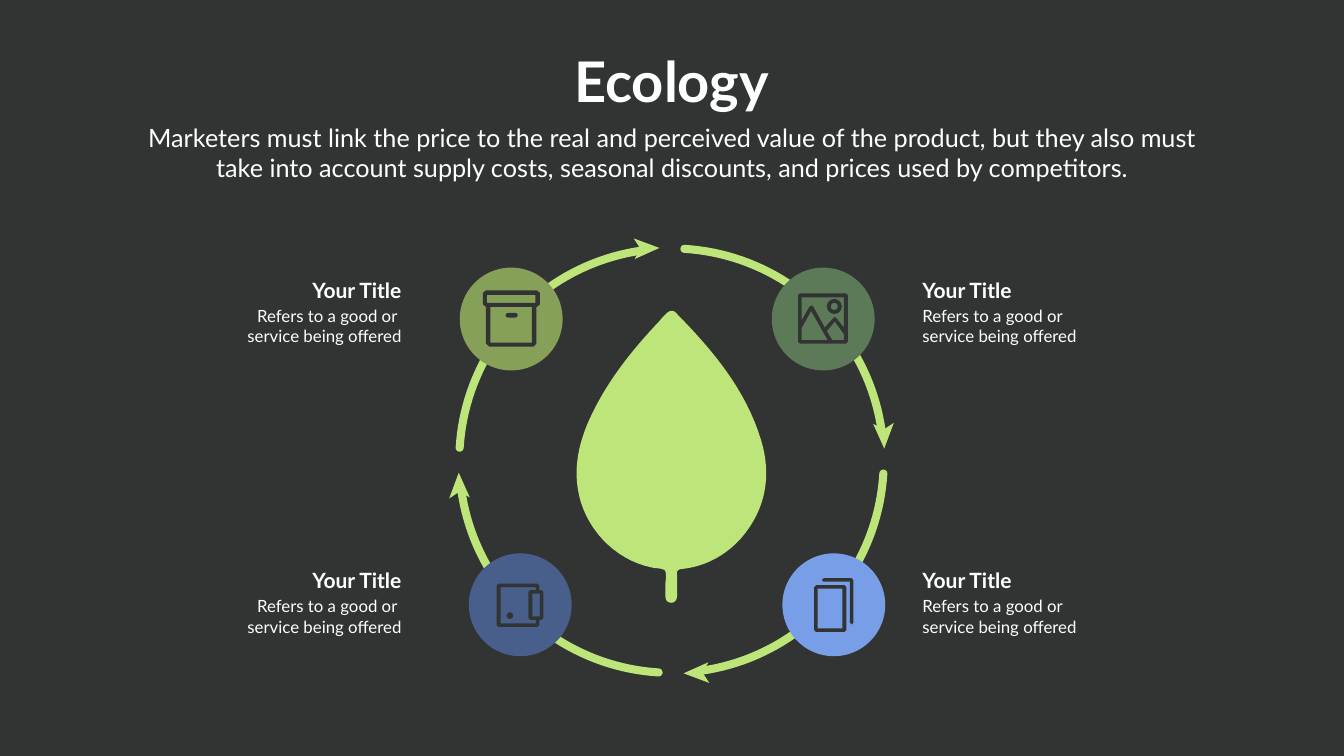
from math import cos, radians, sin

from pptx import Presentation
from pptx.dml.color import RGBColor
from pptx.enum.shapes import MSO_SHAPE
from pptx.enum.text import PP_ALIGN
from pptx.util import Pt

PX = 9144
SLIDE_WIDTH, SLIDE_HEIGHT = 2666, 1500
FONT = "Lato"

OVAL, DONUT, ROUNDED = MSO_SHAPE.OVAL, MSO_SHAPE.DONUT, MSO_SHAPE.ROUNDED_RECTANGLE
LEFT, CENTER, RIGHT = PP_ALIGN.LEFT, PP_ALIGN.CENTER, PP_ALIGN.RIGHT

DARK = RGBColor(0x32, 0x34, 0x34)
WHITE = RGBColor(0xFE, 0xFF, 0xFF)
LIME = RGBColor(0xBD, 0xE5, 0x79)
OLIVE = RGBColor(0x87, 0xA0, 0x59)
FOREST = RGBColor(0x5C, 0x79, 0x58)
NAVY = RGBColor(0x48, 0x5F, 0x8B)
SKY = RGBColor(0x78, 0x9E, 0xE7)

LEAF_START = (371, 259)
LEAF_CURVES = [
    ((340, 157), (274, 79), (201, 5)),
    ((196, 0), (190, 1), (184, 6)),
    ((180, 10), (175, 14), (171, 20)),
    ((114, 80), (62, 145), (28, 222)),
    ((10, 264), (0, 307), (7, 354)),
    ((18, 430), (79, 496), (154, 511)),
    ((162, 513), (175, 512), (180, 517)),
    ((184, 524), (181, 536), (181, 545)),
    ((181, 552), (181, 560), (181, 567)),
    ((181, 574), (183, 580), (192, 581)),
    ((199, 581), (204, 576), (204, 567)),
    ((204, 552), (204, 539), (204, 526)),
    ((203, 518), (205, 515), (213, 514)),
    ((261, 509), (300, 487), (331, 453)),
    ((380, 396), (392, 330), (371, 259)),
]
ARROWHEAD = [(-24, -422), (-73, -400), (-62, -421), (-75, -441)]


def paint(shape, color):
    shape.shadow.inherit = False
    shape.fill.solid()
    shape.fill.fore_color.rgb = color
    shape.line.fill.background()


def add_outline(slide, left, top, contours, color):
    placed = [[(round((left + x) * PX), round((top + y) * PX)) for x, y in contour]
              for contour in contours]
    builder = slide.shapes.build_freeform(*placed[0][0], scale=1.0)
    builder.add_line_segments(placed[0][1:], close=True)
    for hole in placed[1:]:
        builder.move_to(*hole[0])
        builder.add_line_segments(hole[1:], close=True)
    paint(builder.convert_to_shape(), color)


def add_preset(slide, kind, left, top, width, height, color, adjustment=None):
    shape = slide.shapes.add_shape(kind, left * PX, top * PX, width * PX, height * PX)
    if adjustment is not None:
        shape.adjustments[0] = adjustment
    paint(shape, color)


def add_text(slide, left, top, width, height, lines, size, align, bold=False):
    frame = slide.shapes.add_textbox(left * PX, top * PX, width * PX, height * PX).text_frame
    frame.word_wrap = True
    frame.text = "\n".join(lines)
    for paragraph in frame.paragraphs:
        paragraph.alignment = align
        for run in paragraph.runs:
            run.font.size = Pt(size)
            run.font.name = FONT
            run.font.bold = bold
            run.font.color.rgb = WHITE


def rectangle(left, top, right, bottom, cut=0):
    if not cut:
        return [(left, top), (right, top), (right, bottom), (left, bottom)]
    return [(left + cut, top), (right - cut, top), (right, top + cut), (right, bottom - cut),
            (right - cut, bottom), (left + cut, bottom), (left, bottom - cut), (left, top + cut)]


def curve_points(start, control_1, control_2, end, steps=16):
    points = []
    for step in range(1, steps + 1):
        t = step / steps
        weights = ((1 - t) ** 3, 3 * t * (1 - t) ** 2, 3 * t * t * (1 - t), t ** 3)
        points.append(tuple(sum(w * p[axis] for w, p in zip(weights, (start, control_1, control_2, end)))
                            for axis in (0, 1)))
    return points


def arc_points(center, radius, start, end, steps):
    angles = [radians(start + (end - start) * step / steps) for step in range(steps + 1)]
    return [(center[0] + radius * cos(a), center[1] + radius * sin(a)) for a in angles]


def add_leaf(slide, left, top):
    points = [LEAF_START]
    for curve in LEAF_CURVES:
        points += curve_points(points[-1], *curve)
    add_outline(slide, left, top, [points], LIME)


def add_cycle(slide, center_x, center_y, radius=421, half_width=8):
    for quarter in range(4):
        turn = 90 * quarter
        start, end = 183.5 + turn, 262 + turn
        head_cap, = arc_points((0, 0), radius, end, end, 1)[:1]
        tail_cap, = arc_points((0, 0), radius, start, start, 1)[:1]
        band = (arc_points((0, 0), radius + half_width, start, end, 40)
                + arc_points(head_cap, half_width, end, end + 180, 10)
                + arc_points((0, 0), radius - half_width, end, start, 40)
                + arc_points(tail_cap, half_width, start + 180, start + 360, 10))
        add_outline(slide, center_x, center_y, [band], LIME)
        c, s = cos(radians(turn)), sin(radians(turn))
        arrowhead = [(x * c - y * s, x * s + y * c) for x, y in ARROWHEAD]
        add_outline(slide, center_x, center_y, [arrowhead], LIME)


def add_box_icon(slide, left, top):
    body = [(6, 0), (107, 0), (113, 5), (113, 28), (107, 33), (106, 33), (106, 106), (100, 112),
            (13, 112), (6, 106), (6, 33), (0, 28), (0, 5)]
    add_outline(slide, left + 46, top + 45,
                [body, rectangle(8, 9, 104, 25), rectangle(15, 33, 97, 104)], DARK)
    add_preset(slide, ROUNDED, left + 91, top + 90, 24, 9, DARK, 0.5)


def add_photo_icon(slide, left, top):
    sky = [(7, 8), (91, 8), (91, 68), (76, 49), (73, 47), (70, 49), (53, 68),
           (30, 26), (27, 24), (23, 26), (7, 54)]
    large_hill = [(7, 69), (26, 35), (59, 93), (7, 93)]
    small_hill = [(68, 93), (57, 75), (73, 56), (91, 81), (91, 93)]
    add_outline(slide, left + 52, top + 51,
                [rectangle(0, 0, 99, 100, 4), sky, large_hill, small_hill], DARK)
    add_preset(slide, DONUT, left + 109, top + 62, 30, 30, DARK, 0.26)


def add_wallet_icon(slide, left, top):
    body = [(4, 0), (81, 0), (85, 4), (85, 13), (89, 13), (93, 17), (93, 68), (89, 72),
            (85, 72), (85, 82), (81, 86), (4, 86), (0, 82), (0, 4)]
    pocket = [(8, 7), (78, 7), (78, 13), (67, 13), (63, 17), (63, 68), (67, 72),
              (78, 72), (78, 79), (8, 79)]
    add_outline(slide, left + 55, top + 60, [body, pocket, rectangle(71, 20, 86, 65)], DARK)
    add_preset(slide, OVAL, left + 75, top + 117, 13, 13, DARK)


def add_pages_icon(slide, left, top):
    back_page = [(4, 0), (59, 0), (63, 4), (63, 88), (60, 92), (56, 88), (56, 7), (4, 7), (0, 4)]
    add_outline(slide, left + 63, top + 63,
                [rectangle(0, 0, 64, 93, 4), rectangle(7, 7, 56, 86)], DARK)
    add_outline(slide, left + 78, top + 49, [back_page], DARK)


def add_station(slide, left, top, color, add_icon):
    add_preset(slide, OVAL, left, top, 204, 204, color)
    add_icon(slide, left, top)


def add_caption(slide, left, top, align):
    width, title_width = 341, 224
    title_left = left + width - title_width if align == RIGHT else left
    first_line = "Refers to a good or " if align == RIGHT else "Refers to a good or"
    add_text(slide, title_left, top, title_width, 71, ["Your Title"], 30, align, bold=True)
    add_text(slide, left, top + 57, width, 104, [first_line, "service being offered"], 24, align)


def add_header(slide, left, top, width):
    add_text(slide, left + (width - 425) // 2, top, 425, 145, ["Ecology"], 80, CENTER, bold=True)
    add_text(slide, left, top + 150, width, 131,
             ["Marketers must link the price to the real and perceived value of the product, "
              "but they also must take into account supply costs, seasonal discounts, "
              "and prices used by competitors."], 36, CENTER)


def main():
    deck = Presentation()
    deck.slide_width, deck.slide_height = SLIDE_WIDTH * PX, SLIDE_HEIGHT * PX
    slide = deck.slides.add_slide(deck.slide_layouts[6])
    slide.background.fill.solid()
    slide.background.fill.fore_color.rgb = DARK

    add_leaf(slide, 1139, 615)
    add_cycle(slide, 1332, 914)
    add_station(slide, 1531, 531, FOREST, add_photo_icon)
    add_station(slide, 1552, 1098, SKY, add_pages_icon)
    add_station(slide, 912, 531, OLIVE, add_box_icon)
    add_station(slide, 930, 1098, NAVY, add_wallet_icon)
    add_header(slide, 268, 88, 2130)
    for left, align in ((465, RIGHT), (1820, LEFT)):
        for top in (545, 1121):
            add_caption(slide, left, top, align)

    deck.save("out.pptx")


if __name__ == "__main__":
    main()
